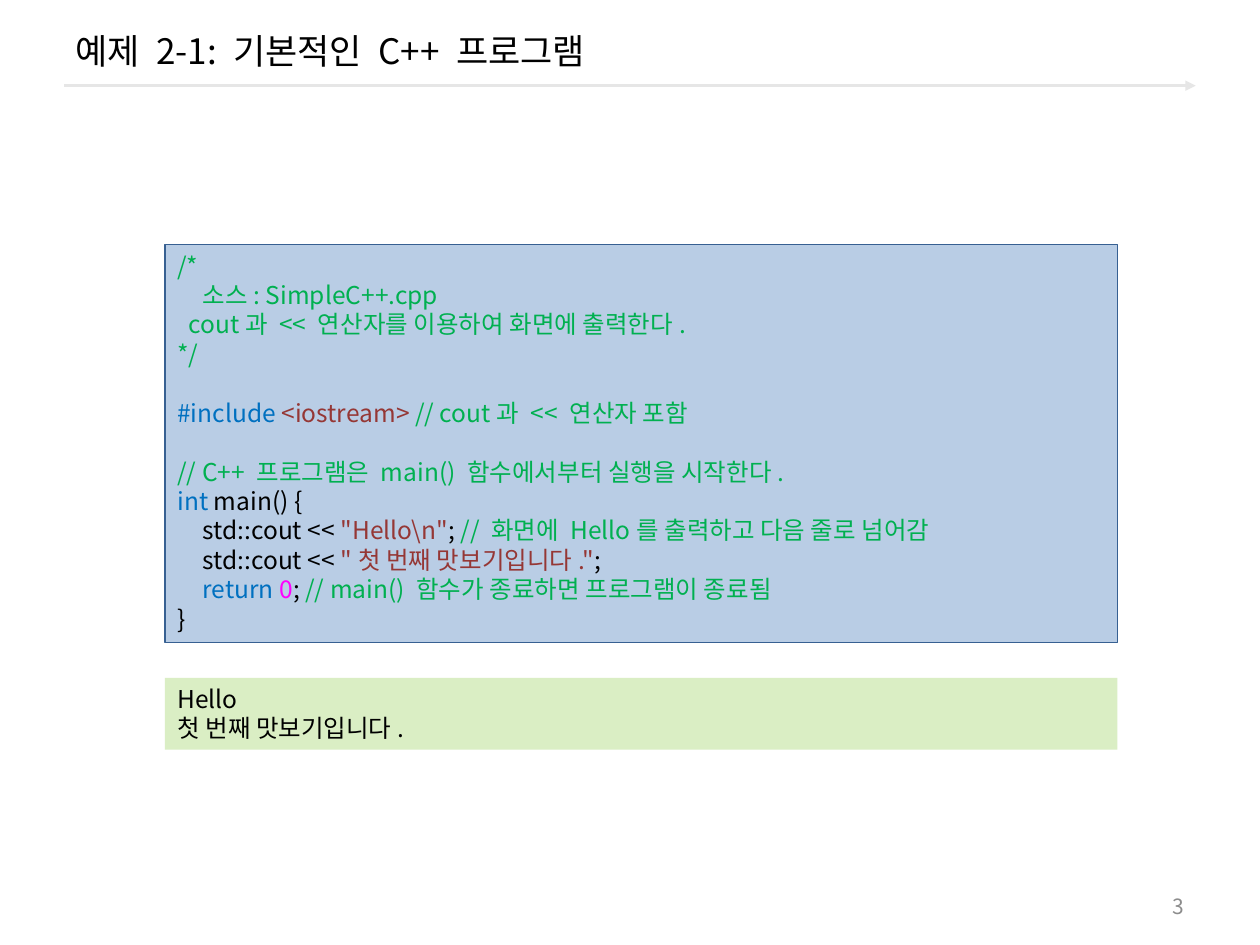
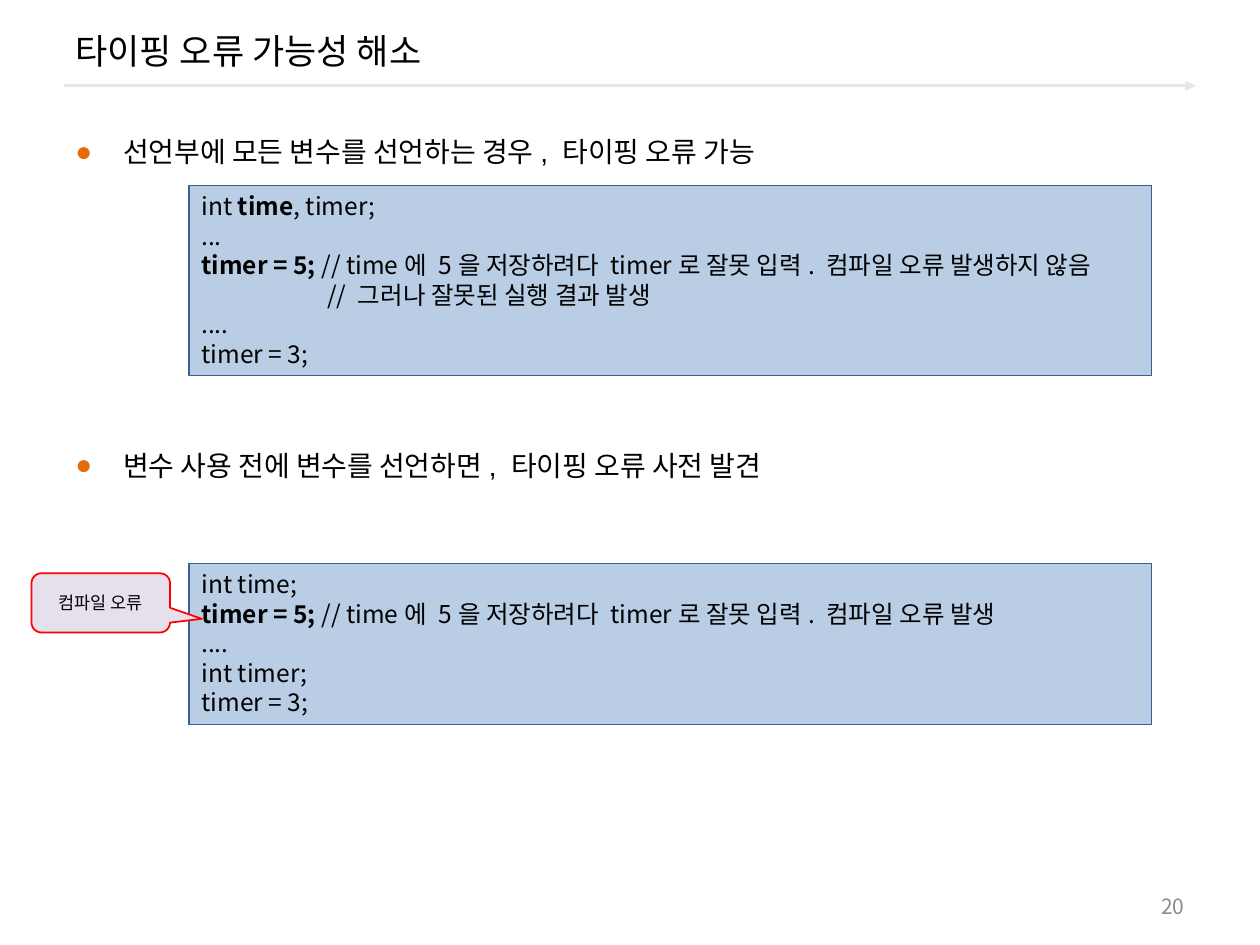
from lxml.etree import SubElement
from pptx import Presentation
from pptx.dml.color import RGBColor
from pptx.enum.shapes import MSO_CONNECTOR as Connector, MSO_SHAPE as Shape
from pptx.enum.text import MSO_ANCHOR as Anchor, PP_ALIGN as Align
from pptx.oxml.ns import qn
from pptx.util import Pt

PX = 9144
HANGUL_FONT = "Noto Sans CJK KR"
LATIN_FONT = "Arial"
LINE_HEIGHT = 1.2
COLOURS = {
    "text": "000000", "rule": "E6E6E6", "number": "8C8C8C", "bullet": "E46C0A",
    "code_fill": "B9CDE5", "code_line": "376092", "output_fill": "DAEEC4",
    "callout_fill": "E6E0EC", "callout_line": "FF0000",
    "comment": "00B050", "keyword": "0070C0", "string": "953735", "digit": "FF00FF",
}


class Deck:
    """Holds the shared style and the slide being built."""

    def __init__(self):
        self.prs = Presentation()
        self.prs.slide_width, self.prs.slide_height = 1000 * PX, 750 * PX
        self.slide = None

    def colour(self, name):
        return RGBColor.from_string(COLOURS[name])

    def set_lines(self, frame, lines, size, font=HANGUL_FONT, align=Align.LEFT, tab=None):
        """Fill a frame with lines, each a list of (text, colour, bold) runs."""
        frame.word_wrap = True
        for index, pieces in enumerate(lines):
            paragraph = frame.add_paragraph() if index else frame.paragraphs[0]
            paragraph.alignment = align
            paragraph.line_spacing = Pt(size * LINE_HEIGHT)
            if tab:
                stops = SubElement(paragraph._p.get_or_add_pPr(), qn("a:tabLst"))
                SubElement(stops, qn("a:tab"), pos=str(tab * PX), algn="l")
            for text, colour, *bold in pieces:
                run = paragraph.add_run()
                run.text = text
                run.font.size = Pt(size)
                run.font.bold = bool(bold)
                run.font.color.rgb = self.colour(colour)
                run.font.name = font
                SubElement(run._r.get_or_add_rPr(), qn("a:ea"), typeface=HANGUL_FONT)

    def text(self, box, lines, size, anchor=Anchor.MIDDLE, **style):
        frame = self.slide.shapes.add_textbox(*(n * PX for n in box)).text_frame
        frame.vertical_anchor = anchor
        self.set_lines(frame, lines, size, **style)
        return frame

    def shape(self, kind, box, fill, line=None, width=0.75, anchor=Anchor.TOP):
        shape = self.slide.shapes.add_shape(kind, *(n * PX for n in box))
        shape.shadow.inherit = False
        shape.fill.solid()
        shape.fill.fore_color.rgb = self.colour(fill)
        if line:
            shape.line.color.rgb = self.colour(line)
            shape.line.width = Pt(width)
        else:
            shape.line.fill.background()
        shape.text_frame.vertical_anchor = anchor
        return shape

    def arrow(self, x1, y1, x2, y2):
        ends = (n * PX for n in (x1, y1, x2, y2))
        rule = self.slide.shapes.add_connector(Connector.STRAIGHT, *ends)
        rule.line.color.rgb = self.colour("rule")
        rule.line.width = Pt(1.5)
        properties = rule._element.spPr
        SubElement(properties.get_or_add_ln(), qn("a:tailEnd"), type="triangle")
        SubElement(properties, qn("a:effectLst"))

    def page(self, title, number):
        """Start a slide with its rule, title and number."""
        self.slide = self.prs.slides.add_slide(self.prs.slide_layouts[6])
        self.arrow(51, 68, 949, 68)
        self.text((50, 8, 900, 64), [[(title, "text")]], 20)
        self.text((717, 703, 233, 32), [[(str(number), "number")]], 12, align=Align.RIGHT)

    def code(self, box, lines, tab):
        listing = self.shape(Shape.RECTANGLE, box, "code_fill", "code_line")
        self.set_lines(listing.text_frame, lines, 14, tab=tab)

    def output(self, box, lines):
        console = self.shape(Shape.RECTANGLE, box, "output_fill")
        self.set_lines(console.text_frame, [[(line, "text")] for line in lines], 14)

    def bullets(self, box, items, gap):
        lines = [[(item, "text")] for item in items]
        frame = self.text(box, lines, 16, anchor=Anchor.TOP, font=LATIN_FONT)
        for index, paragraph in enumerate(frame.paragraphs):
            if index:
                paragraph.space_before = Pt(gap)
            properties = paragraph._p.get_or_add_pPr()
            properties.set("marL", str(38 * PX))
            properties.set("indent", str(-38 * PX))
            tint = SubElement(properties, qn("a:buClr"))
            SubElement(tint, qn("a:srgbClr"), val=COLOURS["bullet"])
            SubElement(properties, qn("a:buFont"), typeface=LATIN_FONT)
            SubElement(properties, qn("a:buChar"), char="●")

    def callout(self, box, label, pointer):
        balloon = self.shape(Shape.ROUNDED_RECTANGULAR_CALLOUT, box, "callout_fill",
                             "callout_line", 1, Anchor.MIDDLE)
        for index, value in enumerate(pointer):
            balloon.adjustments[index] = value
        self.set_lines(balloon.text_frame, [[(label, "text")]], 10, align=Align.CENTER)


def first_program(deck):
    deck.page("예제 2-1: 기본적인 C++ 프로그램", 3)
    deck.code((131, 194, 756, 316), [
        [("/*", "comment")],
        [("\t소스: SimpleC++.cpp", "comment")],
        [("  cout과 << 연산자를 이용하여 화면에 출력한다.", "comment")],
        [("*/", "comment")],
        [],
        [("#include ", "keyword"), ("<iostream> ", "string"),
         ("// cout과 << 연산자 포함", "comment")],
        [],
        [("// C++ 프로그램은 main() 함수에서부터 실행을 시작한다.", "comment")],
        [("int", "keyword"), (" main() {", "text")],
        [("\tstd::cout << ", "text"), ('"Hello\\n"', "string"), ("; ", "text"),
         ("// 화면에 Hello를 출력하고 다음 줄로 넘어감", "comment")],
        [("\tstd::cout << ", "text"), ('"첫 번째 맛보기입니다."', "string"), (";", "text")],
        [("\t", "text"), ("return ", "keyword"), ("0", "digit"), ("; ", "text"),
         ("// main() 함수가 종료하면 프로그램이 종료됨", "comment")],
        [("}", "text")],
    ], tab=20)
    deck.output((131, 538, 756, 57), ["Hello", "첫 번째 맛보기입니다."])


def typing_errors(deck):
    deck.page("타이핑 오류 가능성 해소", 20)
    deck.bullets((50, 102, 900, 602), [
        "선언부에 모든 변수를 선언하는 경우, 타이핑 오류 가능",
        "변수 사용 전에 변수를 선언하면, 타이핑 오류 사전 발견",
    ], gap=160)
    mistyped = ("timer = 5; ", "text", True)
    mistake = "// time에 5을 저장하려다 timer로 잘못 입력. 컴파일 오류 발생"
    deck.code((150, 147, 764, 151), [
        [("int ", "text"), ("time", "text", True), (", timer;", "text")],
        [("...", "text")],
        [mistyped, (mistake + "하지 않음", "text")],
        [("\t// 그러나 잘못된 실행 결과 발생", "text")],
        [("....", "text")],
        [("timer = 3;", "text")],
    ], tab=100)
    deck.code((150, 447, 764, 128), [
        [("int time;", "text")],
        [mistyped, (mistake, "text")],
        [("....", "text")],
        [("int timer;", "text")],
        [("timer = 3;", "text")],
    ], tab=100)
    deck.callout((25, 455, 110, 47), "컴파일 오류", (0.73, 0.27, 0.17))


def main():
    deck = Deck()
    first_program(deck)
    typing_errors(deck)
    deck.prs.save("out.pptx")


if __name__ == "__main__":
    main()
